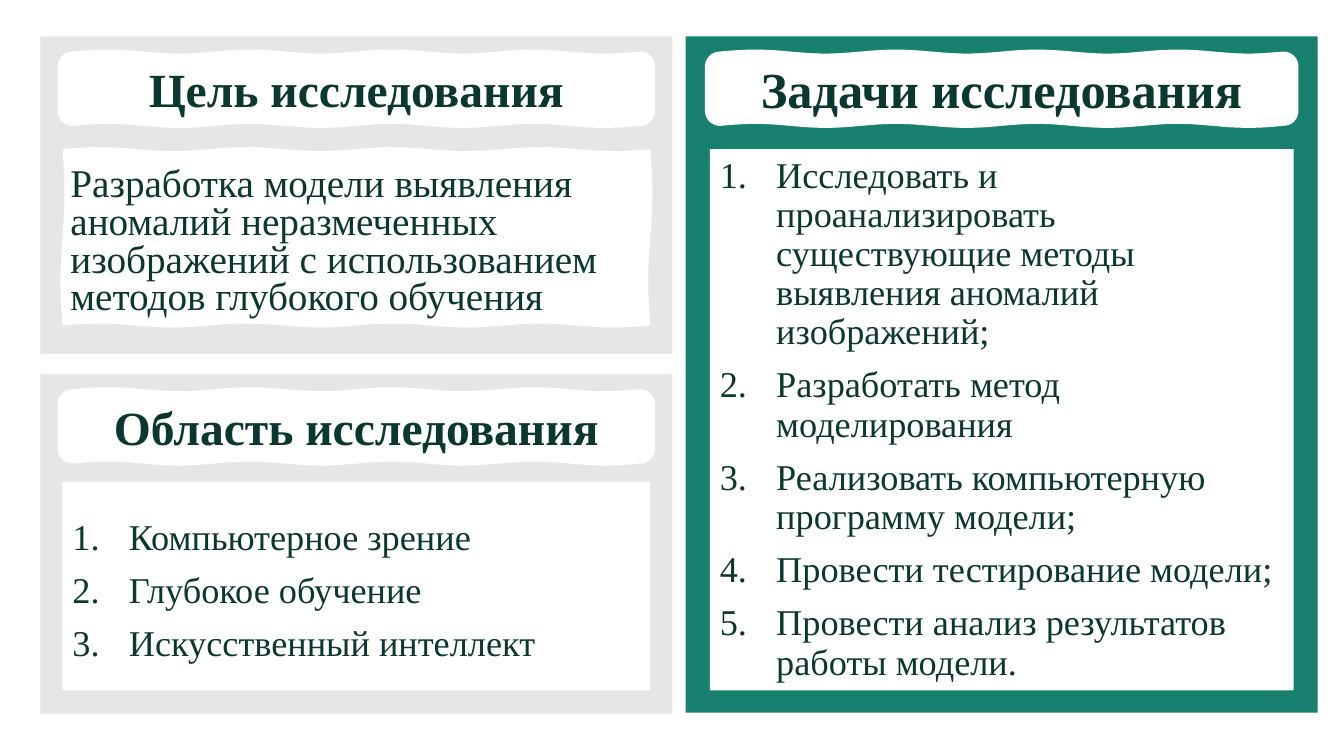
"""Build a slide with the goal, the field and the tasks of a study."""
import math
from lxml import etree
from pptx import Presentation, util as u
from pptx.dml.color import RGBColor
from pptx.enum import shapes, text

GREY = RGBColor(0xE7, 0xE6, 0xE6)
GREEN = RGBColor(0x18, 0x80, 0x6E)
WHITE = RGBColor(0xFF, 0xFF, 0xFF)
INK = RGBColor(0x0A, 0x38, 0x30)
FONT = "Times New Roman"
NS = "http://schemas.openxmlformats.org/drawingml/2006/main"

deck = Presentation()
deck.slide_width, deck.slide_height = u.Inches(13.33), u.Inches(7.5)
slide = deck.slides.add_slide(deck.slide_layouts[6])


def plain(x, y, w, h, fill):
    """Add a flat rectangle."""
    box = slide.shapes.add_shape(shapes.MSO_SHAPE.RECTANGLE, *map(u.Inches, (x, y, w, h)))
    box.fill.solid()
    box.fill.fore_color.rgb = fill
    box.line.fill.background()
    box.shadow.inherit = False
    return box


def wavy(x, y, w, h, r):
    """Add a white box with waves along its edges and corners of radius r."""
    mids = [(x + r, y + r), (x + w - r, y + r), (x + w - r, y + h - r), (x + r, y + h - r)]
    dots = []
    for i, (cx, cy) in enumerate(mids):
        nx, ny = mids[(i + 1) % 4]
        for turn in range(0, 91, 15):
            a = math.radians(180 + 90 * i + turn)
            dots.append((cx + r * math.cos(a), cy + r * math.sin(a)))
        size = math.hypot(nx - cx, ny - cy)
        steps = round(size / 0.1)
        for k in range(1, steps):
            t = k / steps
            d = r + 0.02 * math.sin(2 * math.pi * t * round(size / 1.5))
            dots.append((cx + (nx - cx) * t + d * math.cos(a), cy + (ny - cy) * t + d * math.sin(a)))
    dots = [(u.Inches(px), u.Inches(py)) for px, py in dots]
    pen = slide.shapes.build_freeform(*dots[0])
    pen.add_line_segments(dots[1:], close=True)
    box = pen.convert_to_shape()
    box.fill.solid()
    box.fill.fore_color.rgb = WHITE
    box.line.fill.background()
    box.shadow.inherit = False
    return box


LEFT, RIGHT, TOP, WIDE = 0.4, 6.8, 0.36, 6.27
cards = [
    (RIGHT, TOP, 6.71, GREEN, 0.24, 1.12, 5.37, 0.05, "Задачи исследования", 36, [
        "Исследовать и проанализировать существующие методы выявления аномалий изображений;",
        "Разработать метод моделирования",
        "Реализовать компьютерную программу модели;",
        "Провести тестирование модели;",
        "Провести анализ результатов работы модели."]),
    (LEFT, 3.71, 3.37, GREY, 0.22, 1.07, 2.07, 0.16, "Область исследования", 34, [
        "Компьютерное зрение",
        "Глубокое обучение",
        "Искусственный интеллект"]),
    (LEFT, TOP, 3.15, GREY, 0.22, 1.12, 1.75, 0.16, "Цель исследования", 34, [
        "Разработка модели выявления аномалий неразмеченных изображений "
        "с использованием методов глубокого обучения"]),
]

for x, y, high, fill, pad, drop, deep, inset, title, size, lines in cards:
    plain(x, y, WIDE, high, fill)
    span = WIDE - 2 * pad
    listed = len(lines) > 1

    head = wavy(x + pad, y + 0.2, span, 0.64, 0.1)
    head.line.color.rgb = WHITE
    head.line.width = u.Pt(7)
    head.text_frame.word_wrap = True
    head.text_frame.vertical_anchor = text.MSO_ANCHOR.MIDDLE
    para = head.text_frame.paragraphs[0]
    para.text = title
    para.alignment = text.PP_ALIGN.CENTER
    para.font.name, para.font.size, para.font.bold = FONT, u.Pt(size), True
    para.font.color.rgb = INK

    place = (x + pad, y + drop, span, deep)
    body = plain(*place, WHITE) if listed else wavy(*place, 0)
    frame = body.text_frame
    frame.word_wrap = True
    frame.vertical_anchor = text.MSO_ANCHOR.MIDDLE
    frame.margin_top = u.Inches(inset)
    for i, line in enumerate(lines):
        para = frame.add_paragraph() if i else frame.paragraphs[0]
        para.text = line
        para.alignment = text.PP_ALIGN.LEFT
        para.line_spacing = 0.9 if listed else 0.8
        para.space_before = u.Pt(10 if i else 0)
        if listed:
            props = para._p.get_or_add_pPr()
            props.set("marL", str(u.Inches(0.56)))
            props.set("indent", str(-u.Inches(0.56)))
            etree.SubElement(props, f"{{{NS}}}buFont", typeface="+mj-lt")
            etree.SubElement(props, f"{{{NS}}}buAutoNum", type="arabicPeriod")
        para.font.name, para.font.size = FONT, u.Pt(25.9 if listed else 28)
        para.font.color.rgb = INK

deck.save("out.pptx")
